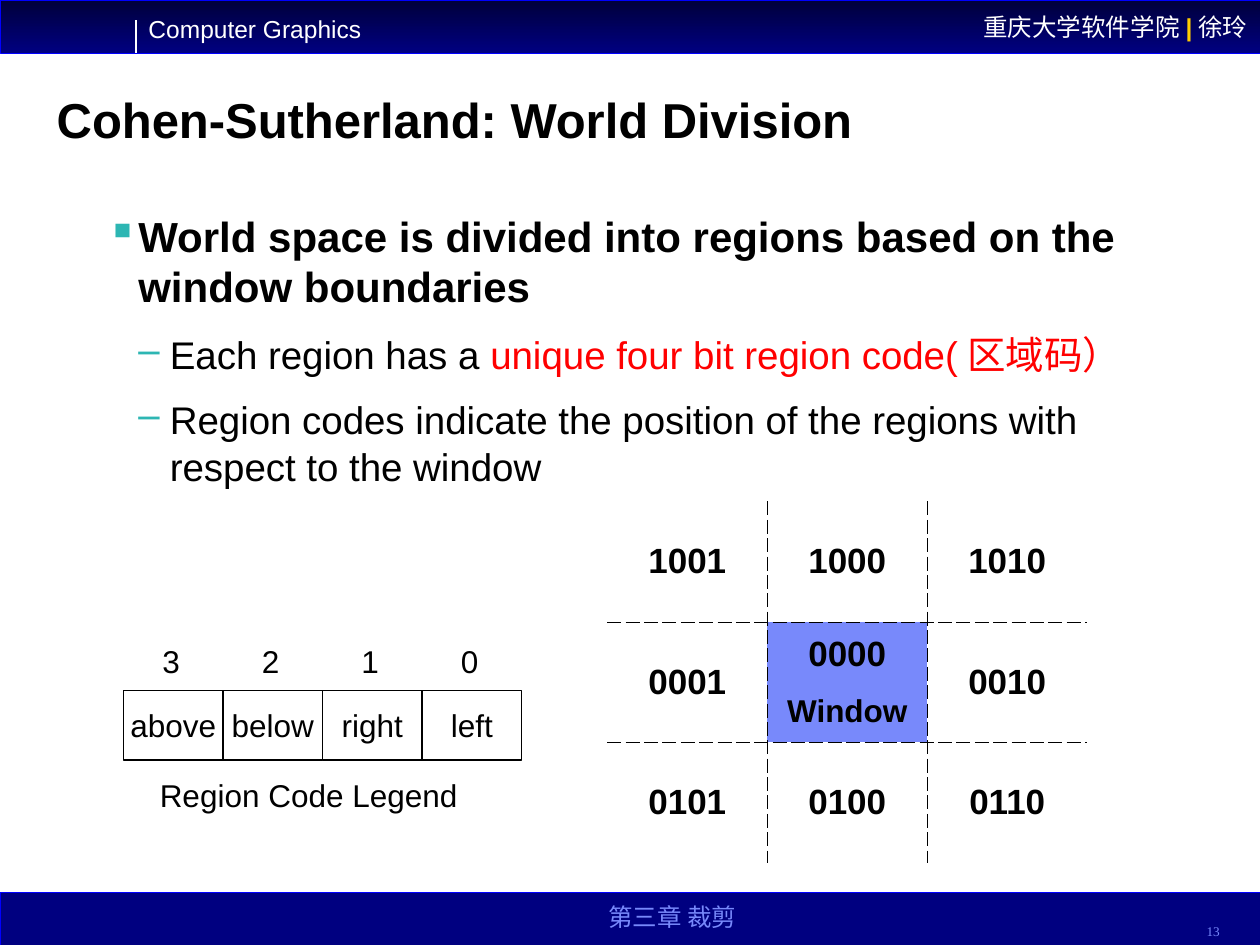
from lxml import etree
from pptx import Presentation
from pptx.dml.color import RGBColor
from pptx.enum import dml, shapes, text
from pptx.oxml import ns
from pptx.util import Inches, Pt

BLACK = RGBColor(0, 0, 0)
WHITE = RGBColor(0xFF, 0xFF, 0xFF)
NIGHT = RGBColor(0, 0, 0x3B)
NAVY = RGBColor(0, 0, 0x80)
BLUE = RGBColor(0, 0, 0xFF)
GOLD = RGBColor(0xFF, 0xCC, 0)
PERI = RGBColor(0x78, 0x89, 0xFB)
TEAL = RGBColor(0x2D, 0xB6, 0xB3)
RED = RGBColor(0xFF, 0, 0)
LEFT, MID, RIGHT = text.PP_ALIGN.LEFT, text.PP_ALIGN.CENTER, text.PP_ALIGN.RIGHT
TOP, CENTRE, BASE = text.MSO_ANCHOR.TOP, text.MSO_ANCHOR.MIDDLE, text.MSO_ANCHOR.BOTTOM


def sub(parent, tag, **attrs):
    return etree.SubElement(parent, ns.qn(tag), **attrs)


def style(font, size, color=BLACK, bold=False, face="Arial"):
    font.name, font.size, font.bold = face, Pt(size), bold
    font.color.rgb = color


def write(para, parts, size, align=LEFT, face="Arial"):
    """Add (words, colour, bold) runs to a paragraph."""
    para.alignment = align
    for words, color, bold in parts:
        run = para.add_run()
        run.text = words
        style(run.font, size, color, bold, face)


def label(home, box, words, size, color=BLACK, align=LEFT, anchor=TOP,
          wrap=False, face="Arial"):
    frame = home.add_textbox(*map(Inches, box)).text_frame
    frame.word_wrap, frame.vertical_anchor = wrap, anchor
    write(frame.paragraphs[0], [(words, color, False)], size, align, face)


def rect(home, box, color, width):
    shape = home.add_shape(shapes.MSO_SHAPE.RECTANGLE, *map(Inches, box))
    shape.shadow.inherit = False
    shape.line.color.rgb, shape.line.width = color, Pt(width)
    frame = shape.text_frame
    frame.word_wrap, frame.vertical_anchor = False, CENTRE
    return shape


def header(home, x, y, w, h):
    bar = rect(home, (x, y, w, h), BLUE, 0.25)
    bar.fill.gradient()
    bar.fill.gradient_angle = 270
    for stop, color, spot in zip(bar.fill.gradient_stops, (NIGHT, NAVY), (0, 1)):
        stop.color.rgb, stop.position = color, spot
    bar.text_frame.word_wrap = True
    write(bar.text_frame.paragraphs[0],
          [("重庆大学软件学院", WHITE, False), ("|", GOLD, True), ("徐玲", WHITE, False)],
          14, RIGHT)
    # Course name and its rule
    label(home, (x + 1.08, y + 0.06, 1.89, 0.34), "Computer Graphics", 14, WHITE)
    rule = home.add_connector(shapes.MSO_CONNECTOR.STRAIGHT, Inches(x + 1.08),
                              Inches(y + 0.16), Inches(x + 1.08), Inches(y + h))
    rule.line.color.rgb, rule.line.width = WHITE, Pt(0.75)
    sub(rule._element.spPr, "a:effectLst")


def footer(home, x, y, w, h):
    bar = rect(home, (x, y, w, h), BLUE, 0.25)
    bar.fill.solid()
    bar.fill.fore_color.rgb = NAVY
    face = "Times New Roman"
    label(home, (x + 3.75, y - 0.02, 3.17, 0.38), "第三章 裁剪", 14, PERI, MID,
          BASE, True, face)
    label(home, (x + 8.78, y + 0.04, 1, 0.38), "13", 7.6, PERI, RIGHT,
          BASE, True, face)


def heading(title, *box):
    title.left, title.top, title.width, title.height = map(Inches, box)
    frame = title.text_frame
    frame.text = "Cohen-Sutherland: World Division"
    frame.vertical_anchor = BASE
    para = frame.paragraphs[0]
    para.alignment, para.line_spacing = LEFT, 0.9
    style(para.runs[0].font, 28, bold=True)


def points(home, *box):
    frame = home.add_textbox(*map(Inches, box)).text_frame
    frame.word_wrap = True
    rows = [
        (0, [("World space is divided into regions based on the window boundaries",
              BLACK, True)]),
        (1, [("Each region has a ", BLACK, False),
             ("unique four bit region code(区域码）", RED, False)]),
        (1, [("Region codes indicate the position of the regions with respect "
              "to the window", BLACK, False)]),
    ]
    for i, (level, parts) in enumerate(rows):
        para = frame.add_paragraph() if i else frame.paragraphs[0]
        para.level = level
        props = para._p.get_or_add_pPr()
        props.set("marL", str(Inches(0.25 * (level + 1))))
        props.set("indent", str(Inches(-0.25)))
        sub(sub(props, "a:buClr"), "a:srgbClr", val=str(TEAL))
        sub(props, "a:buChar", char="▪–"[level])
        para.space_before = Pt(6.9 if i else 0)
        para.space_after = Pt(4.1 if level else 4.5)
        write(para, parts, 22 if level else 24)


def borders(cell, sides):
    """Dash the named sides of a cell and clear the others."""
    props = cell._tc.get_or_add_tcPr()
    for i, side in enumerate("LRTB"):
        line = etree.Element(ns.qn("a:ln" + side), w=str(Pt(0.45)))
        if side in sides:
            sub(sub(line, "a:solidFill"), "a:srgbClr", val=str(BLACK))
            sub(line, "a:prstDash", val="dash")
        else:
            sub(line, "a:noFill")
        props.insert(i, line)


def regions(home, *box):
    codes = [["1001", "1000", "1010"],
             ["0001", "0000", "0010"],
             ["0101", "0100", "0110"]]
    table = home.add_table(3, 3, *map(Inches, box)).table
    table.first_row = table.horz_banding = False
    for r, row in enumerate(codes):
        for c, code in enumerate(row):
            cell = table.cell(r, c)
            cell.vertical_anchor = CENTRE
            cell.fill.background()
            write(cell.text_frame.paragraphs[0], [(code, BLACK, True)], 20, MID)
            # Only the lines between cells show
            inner = (c > 0, c < 2, r > 0, r < 2)
            borders(cell, [s for s, on in zip("LRTB", inner) if on])
    # Window in the middle
    core = table.cell(1, 1)
    core.fill.solid()
    core.fill.fore_color.rgb = PERI
    core.text_frame.paragraphs[0].space_after = Pt(3.7)
    para = core.text_frame.add_paragraph()
    para.space_before = Pt(7.9)
    write(para, [("Window", BLACK, True)], 18, MID)


def legend(home, x, y, w, h):
    group = home.add_group_shape().shapes
    step = w / 4
    for i, name in enumerate(["above", "below", "right", "left"]):
        left = x + i * step
        cell = rect(group, (left, y + 0.43, step, h), BLACK, 1)
        cell.fill.background()
        write(cell.text_frame.paragraphs[0], [(name, BLACK, False)], 18, MID)
        label(group, (left + 0.21, y, 0.34, 0.4), str(3 - i), 18)
    label(group, (x + 0.19, y + 1.06, 2.56, 0.4), "Region Code Legend", 18)


def main():
    deck = Presentation()
    deck.slide_width, deck.slide_height = Inches(10), Inches(7.5)
    slide = deck.slides.add_slide(deck.slide_layouts[5])
    home = slide.shapes
    header(home, 0, 0, 10, 0.42)
    footer(home, 0, 7.08, 10, 0.42)
    heading(home.title, 0.35, 0.68, 9.02, 0.55)
    points(home, 0.75, 1.62, 8.5, 4.27)
    regions(home, 4.82, 3.98, 3.81, 2.87)
    legend(home, 0.98, 5.05, 3.16, 0.55)
    deck.save("out.pptx")


if __name__ == "__main__":
    main()
